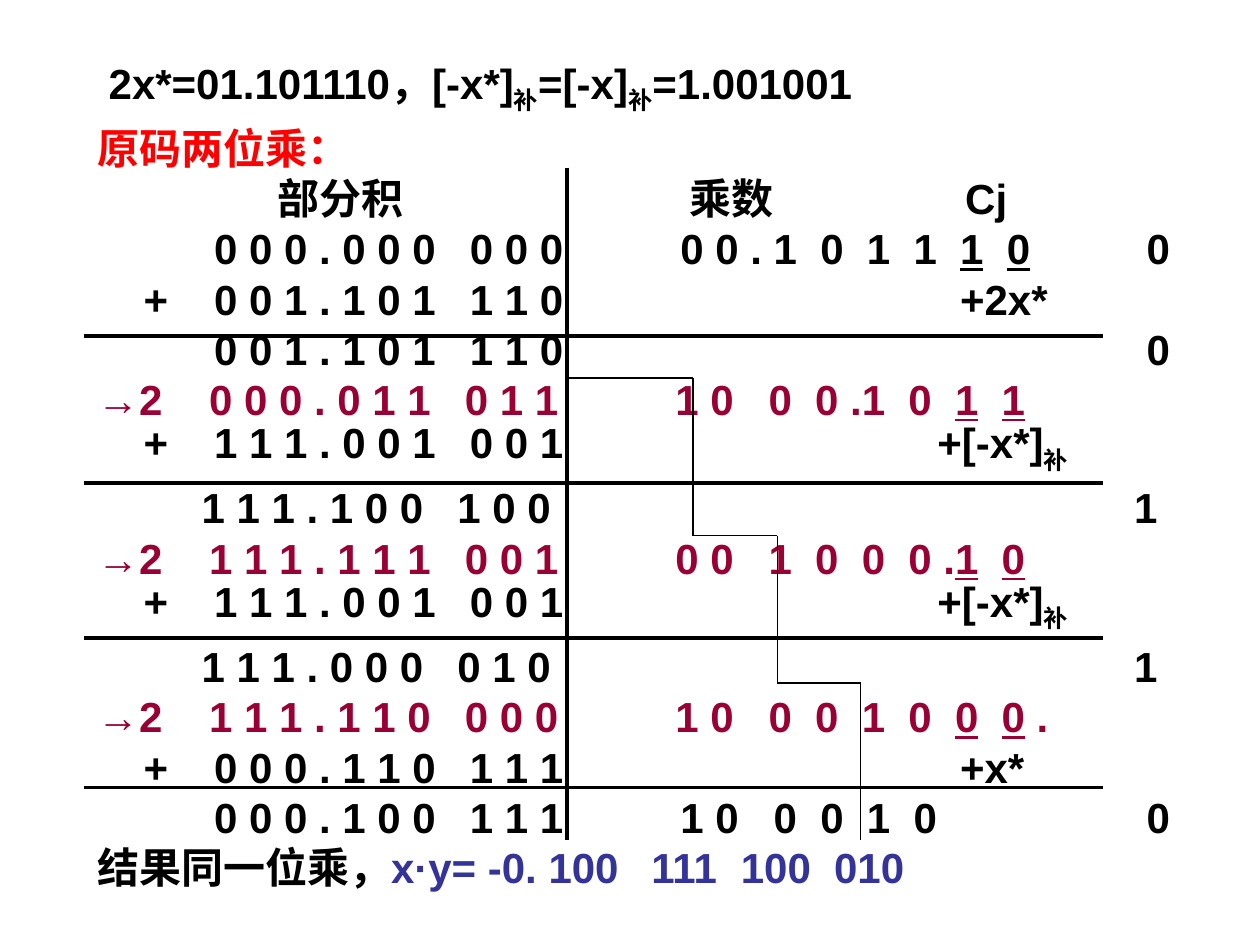
from pptx import Presentation
from pptx.dml.color import RGBColor
from pptx.enum.shapes import MSO_CONNECTOR
from pptx.enum.text import MSO_ANCHOR, MSO_AUTO_SIZE, PP_ALIGN
from pptx.oxml.ns import qn
from pptx.util import Inches, Pt
from lxml.etree import SubElement

BLACK = RGBColor(0x00, 0x00, 0x00)
RED = RGBColor(0xFF, 0x00, 0x00)
CRIMSON = RGBColor(0x99, 0x00, 0x33)
INDIGO = RGBColor(0x33, 0x33, 0x99)

SIGN, HIGH, LOW, MULTIPLIER, CARRY = 0.37, 0.93, 2.96, 4.63, 8.33
DIGITS = [5.37 + 0.37 * index for index in range(6)]
PAIR = DIGITS[4]
SHIFT_OFFSET, SUM_OFFSET = -0.04, -0.1
SUBSCRIPT_GAP = 4.6


class WorkedExample:
    font_name = "Arial"
    font_size = Pt(24)
    line_pitch = Pt(28.7)

    def __init__(self, presentation):
        self.slide = presentation.slides.add_slide(presentation.slide_layouts[5])
        self.text_frame = None

    def place_title(self, left, top, width, height):
        title = self.slide.shapes.title
        title.left, title.top = Inches(left), Inches(top)
        title.width, title.height = Inches(width), Inches(height)
        self.text_frame = title.text_frame
        self.text_frame.word_wrap = True
        self.text_frame.auto_size = MSO_AUTO_SIZE.NONE
        self.text_frame.vertical_anchor = MSO_ANCHOR.MIDDLE

    def add_run(self, paragraph, text, style, color):
        run = paragraph.add_run()
        run.text = text
        font = run.font
        font.name, font.size, font.bold = self.font_name, self.font_size, True
        font.color.rgb = INDIGO if style == "result" else color
        if style == "underline":
            font.underline = True
        if style == "subscript":
            run._r.get_or_add_rPr().set("baseline", "-25000")

    def add_row(self, cells, color=BLACK, offset=0, space_after=0):
        paragraph = self.text_frame.paragraphs[0]
        if paragraph.runs:
            paragraph = self.text_frame.add_paragraph()
        stops = [cell[0] for cell in cells if cell[0] is not None]
        if stops:
            tab_list = SubElement(paragraph._p.get_or_add_pPr(), qn("a:tabLst"))
            for stop in stops:
                position = str(int(Inches(stop + offset)))
                SubElement(tab_list, qn("a:tab"), pos=position, algn="l")
        paragraph.alignment = PP_ALIGN.LEFT
        paragraph.line_spacing = self.line_pitch
        paragraph.space_before = Pt(0)
        paragraph.space_after = Pt(space_after)
        previous = ""
        for column, text, style in cells:
            if column is not None:
                self.add_run(paragraph, "\t", style if style == previous else "", color)
            self.add_run(paragraph, text, style, color)
            previous = style

    def add_line(self, start, end, weight):
        points = [Inches(value) for value in (*start, *end)]
        line = self.slide.shapes.add_connector(MSO_CONNECTOR.STRAIGHT, *points)
        line.line.color.rgb = BLACK
        line.line.width = Pt(weight)
        SubElement(line._element.spPr, qn("a:effectLst"))


def plain(*pairs):
    return [(column, text, "") for column, text in pairs]


def product(high, low):
    return plain((HIGH, high), (LOW, low))


def addend(high, low, operation, column=PAIR):
    return plain((SIGN, "+")) + product(high, low) + plain((column, operation))


def examined(first, second):
    return [(first[0], first[1], "underline"), (DIGITS[5], second, "underline")]


def main():
    presentation = Presentation()
    presentation.slide_width = Inches(10)
    presentation.slide_height = Inches(7.5)
    example = WorkedExample(presentation)
    example.place_title(0.67, 0.42, 8.92, 6.75)

    subscript = [(None, "补", "subscript")]
    minus = addend("1 1 1 . 0 0 1", "0 0 1", "+[-x*]", 6.67) + subscript
    arrow = plain((None, "→2"))

    example.add_row(
        plain((None, " 2x*=01.101110，[-x*]")) + subscript + plain((None, "=[-x]"))
        + subscript + plain((None, "=1.001001")), space_after=SUBSCRIPT_GAP)
    example.add_row(plain((None, "原码两位乘：")), RED)
    example.add_row(plain((1.43, "部分积"), (4.7, "乘数"), (6.89, "Cj")))

    example.add_row(
        product("0 0 0 . 0 0 0", "0 0 0") + plain((MULTIPLIER, "0 0 ."))
        + plain(*zip(DIGITS, "1011")) + examined((PAIR, "1"), "0")
        + plain((CARRY, "0")))
    example.add_row(addend("0 0 1 . 1 0 1", "1 1 0", "+2x*"))
    example.add_row(product("0 0 1 . 1 0 1", "1 1 0") + plain((CARRY, "0")))

    example.add_row(
        arrow + product("0 0 0 . 0 1 1", "0 1 1")
        + plain((MULTIPLIER, "1 0"), (DIGITS[0], "0"), (DIGITS[1], "0 .1"),
                (DIGITS[3], "0")) + examined((PAIR, "1"), "1"),
        CRIMSON, SHIFT_OFFSET)
    example.add_row(minus, space_after=SUBSCRIPT_GAP)
    example.add_row(product("1 1 1 . 1 0 0", "1 0 0") + plain((CARRY, "1")),
                    offset=SUM_OFFSET)

    example.add_row(
        arrow + product("1 1 1 . 1 1 1", "0 0 1") + plain((MULTIPLIER, "0 0"))
        + plain(*zip(DIGITS, ("1", "0", "0", "0 .")))
        + examined((None, "1"), "0"),
        CRIMSON, SHIFT_OFFSET)
    example.add_row(minus, space_after=SUBSCRIPT_GAP)
    example.add_row(product("1 1 1 . 0 0 0", "0 1 0") + plain((CARRY, "1")),
                    offset=SUM_OFFSET)

    example.add_row(
        arrow + product("1 1 1 . 1 1 0", "0 0 0") + plain((MULTIPLIER, "1 0"))
        + plain(*zip(DIGITS, "0010")) + examined((PAIR, "0"), "0")
        + plain((None, " .")),
        CRIMSON, SHIFT_OFFSET)
    example.add_row(addend("0 0 0 . 1 1 0", "1 1 1", "+x*"))
    example.add_row(
        product("0 0 0 . 1 0 0", "1 1 1") + plain((MULTIPLIER, "1 0"))
        + plain(*zip(DIGITS, "0010")) + plain((CARRY, "0")))
    example.add_row(
        plain((None, "结果同一位乘，"))
        + [(None, "x·y= -0. 100", "result"), (4.4, "111", "result"),
           (5.11, "100", "result"), (5.85, "010", "result")])

    for height in (2.67, 3.83, 5.06, 6.25):
        example.add_line((0.67, height), (8.75, height), 2.25)
    example.add_line((4.5, 1.33), (4.5, 6.67), 2.25)

    corners = [(4.5, 3), (5.5, 3), (5.5, 4.25), (6.17, 4.25),
               (6.17, 5.42), (6.83, 5.42), (6.83, 6.67)]
    for start, end in zip(corners, corners[1:]):
        example.add_line(start, end, 0.75)

    presentation.save("out.pptx")


if __name__ == "__main__":
    main()
